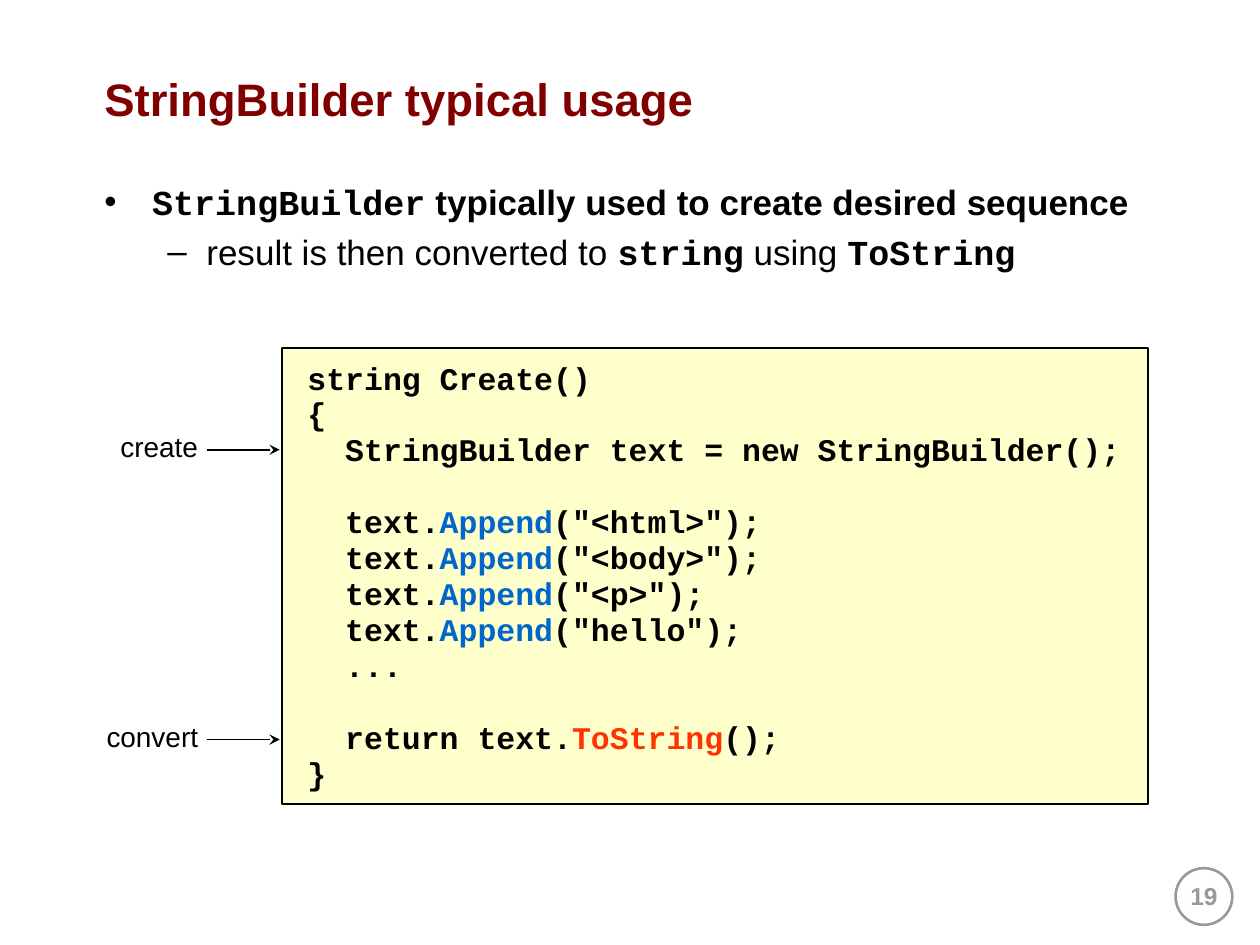
from dataclasses import dataclass

from lxml.etree import SubElement
from pptx import Presentation
from pptx.dml.color import RGBColor
from pptx.enum.shapes import MSO_CONNECTOR as Connector, MSO_SHAPE as Preset
from pptx.enum.text import MSO_ANCHOR as Anchor, PP_ALIGN as Align
from pptx.oxml.ns import qn
from pptx.util import Inches, Pt

BLACK = RGBColor(0x00, 0x00, 0x00)
WHITE = RGBColor(0xFF, 0xFF, 0xFF)
GREY = RGBColor(0x99, 0x99, 0x99)
MAROON = RGBColor(0x80, 0x00, 0x00)
CREAM = RGBColor(0xFF, 0xFF, 0xCC)
BLUE = RGBColor(0x00, 0x66, 0xCC)
RED = RGBColor(0xFF, 0x33, 0x00)

SANS, MONO = "Arial", "Courier New"
COLUMNS, ROWS = 100, 75
CODE_PITCH = Pt(20.55)
CODE_INDENT = Inches(0.3)

deck = Presentation()
deck.slide_width, deck.slide_height = Inches(10), Inches(7.5)
page = deck.slides.add_slide(deck.slide_layouts[6])
CELL_W, CELL_H = deck.slide_width / COLUMNS, deck.slide_height / ROWS


@dataclass(frozen=True)
class Area:
    column: float
    row: float
    columns: float
    rows: float

    def lengths(self) -> tuple:
        """Return left, top, width and height in slide units."""
        return (int(self.column * CELL_W), int(self.row * CELL_H),
                int(self.columns * CELL_W), int(self.rows * CELL_H))


@dataclass(frozen=True)
class Span:
    text: str
    size: float
    font: str = SANS
    color: RGBColor = BLACK
    bold: bool = False


@dataclass(frozen=True)
class Bullet:
    mark: str
    margin: float
    hanging: float
    spans: tuple


@dataclass(frozen=True)
class CodeLine:
    tokens: tuple
    level: int = 0
    gap_before: bool = False


@dataclass(frozen=True)
class Pointer:
    label: str
    row: float


def add_spans(para, spans: tuple) -> None:
    """Write each span as a run of the paragraph."""
    for span in spans:
        run = para.add_run()
        run.text = span.text
        font = run.font
        font.size, font.name, font.bold = Pt(span.size), span.font, span.bold
        font.color.rgb = span.color


def next_para(frame, index: int):
    """Return the first paragraph, or a new one after it."""
    return frame.add_paragraph() if index else frame.paragraphs[0]


def add_box(area: Area, spans: tuple = (), align: Align = Align.LEFT,
            anchor: Anchor = Anchor.TOP):
    """Add a text box and return its frame."""
    frame = page.shapes.add_textbox(*area.lengths()).text_frame
    frame.word_wrap, frame.vertical_anchor = True, anchor
    frame.paragraphs[0].alignment = align
    add_spans(frame.paragraphs[0], spans)
    return frame


def add_panel(preset: Preset, area: Area, fill: RGBColor, line: RGBColor, width: float):
    """Add a filled, outlined shape and return its frame."""
    shape = page.shapes.add_shape(preset, *area.lengths())
    shape.shadow.inherit = False
    shape.fill.solid()
    shape.fill.fore_color.rgb = fill
    shape.line.color.rgb, shape.line.width = line, Pt(width)
    return shape.text_frame


def add_bullets(area: Area, bullets: tuple) -> None:
    """Add a text box of bulleted paragraphs."""
    frame = add_box(area)
    for index, bullet in enumerate(bullets):
        para = next_para(frame, index)
        para.space_before = Pt(5)
        add_spans(para, bullet.spans)
        props = para._p.get_or_add_pPr()
        props.set("marL", str(Inches(bullet.margin)))
        props.set("indent", str(-Inches(bullet.hanging)))
        SubElement(props, qn("a:buFont"), typeface=SANS)
        SubElement(props, qn("a:buChar"), char=bullet.mark)


def add_code(area: Area, lines: tuple) -> None:
    """Add the code panel, one paragraph for each line."""
    frame = add_panel(Preset.RECTANGLE, area, CREAM, BLACK, 1)
    frame.word_wrap, frame.vertical_anchor = False, Anchor.TOP
    frame.margin_left = frame.margin_right = Inches(0.2)
    frame.margin_top = frame.margin_bottom = Inches(0.1)
    for index, line in enumerate(lines):
        para = next_para(frame, index)
        para.alignment, para.line_spacing = Align.LEFT, CODE_PITCH
        para.space_before = CODE_PITCH if line.gap_before else Pt(0)
        para._p.get_or_add_pPr().set("marL", str(line.level * CODE_INDENT))
        add_spans(para, tuple(Span(text, 18, MONO, color, True) for text, color in line.tokens))


def add_pointer(pointer: Pointer) -> None:
    """Add a label and the arrow from it to the code."""
    add_box(Area(6.5, pointer.row - 2.1, 10.2, 4), (Span(pointer.label, 16),), Align.RIGHT)
    left, top, width, _ = Area(16.4, pointer.row, 5.8, 0).lengths()
    arrow = page.shapes.add_connector(Connector.STRAIGHT, left, top, left + width, top)
    arrow.line.color.rgb, arrow.line.width = BLACK, Pt(1)
    props = arrow._element.spPr
    SubElement(props.find(qn("a:ln")), qn("a:tailEnd"), type="stealth")
    SubElement(props, qn("a:effectLst"))


def append_line(argument: str, gap_before: bool = False) -> CodeLine:
    """Return a code line that appends the argument."""
    tokens = (("text.", BLACK), ("Append", BLUE), (f'("{argument}");', BLACK))
    return CodeLine(tokens, 1, gap_before)


BULLETS = (
    Bullet("•", 0.38, 0.38, (
        Span("StringBuilder", 20, MONO, bold=True),
        Span(" typically used to create desired sequence", 20, bold=True))),
    Bullet("–", 0.81, 0.31, (
        Span("result is then converted to ", 20),
        Span("string", 20, MONO, bold=True),
        Span(" using ", 20),
        Span("ToString", 20, MONO, bold=True))),
)
CODE = (
    CodeLine((("string Create()", BLACK),)),
    CodeLine((("{", BLACK),)),
    CodeLine((("StringBuilder text = new StringBuilder();", BLACK),), 1),
    append_line("<html>", True),
    append_line("<body>"),
    append_line("<p>"),
    append_line("hello"),
    CodeLine((("...", BLACK),), 1),
    CodeLine((("return text.", BLACK), ("ToString", RED), ("();", BLACK)), 1, True),
    CodeLine((("}", BLACK),)),
)
POINTERS = (Pointer("create", 35.7), Pointer("convert", 58.7))

add_panel(Preset.OVAL, Area(93.3, 68.9, 4.5, 4.5), WHITE, GREY, 1.5)
add_box(Area(91.8, 69.4, 7.5, 5), (Span("19", 14, SANS, GREY, True),), Align.CENTER)
add_box(Area(7.3, 2, 87.7, 11.6), (Span("StringBuilder typical usage", 26, SANS, MAROON, True),),
        anchor=Anchor.MIDDLE)
add_bullets(Area(7.3, 13.8, 87.7, 52.2), BULLETS)
add_code(Area(22.4, 27.6, 68.7, 36.2), CODE)
for pointer in POINTERS:
    add_pointer(pointer)
deck.save("out.pptx")
